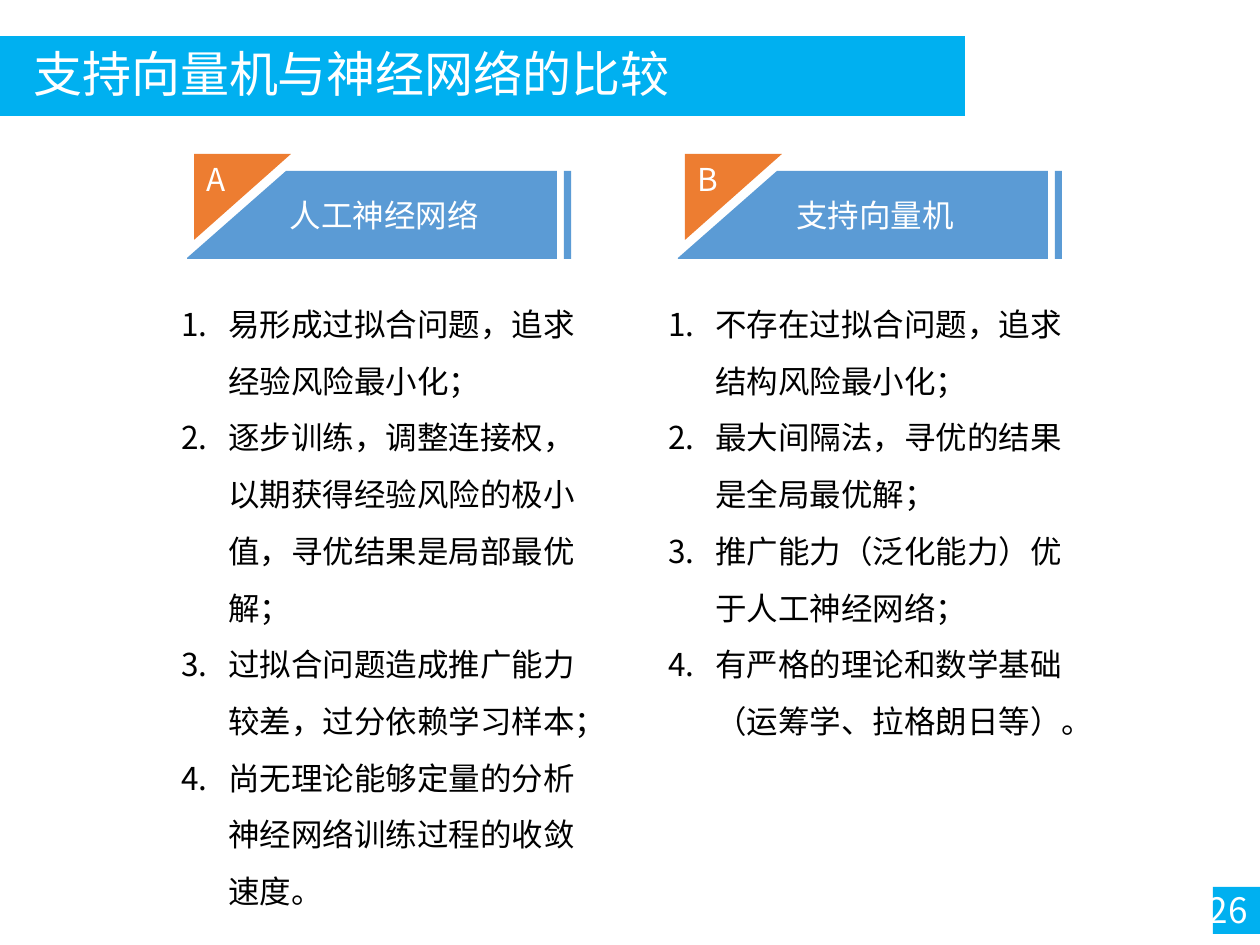
from dataclasses import dataclass

from lxml.etree import SubElement
from pptx import Presentation
from pptx.dml.color import RGBColor
from pptx.enum.shapes import MSO_SHAPE as Shape
from pptx.enum.text import MSO_ANCHOR as Anchor, PP_ALIGN as Align
from pptx.oxml.ns import qn
from pptx.util import Pt

# Content
TITLE = "支持向量机与神经网络的比较"
PAGE_NUMBER = "26"
COLUMNS = [
    ("A", "人工神经网络", [
        "易形成过拟合问题，追求经验风险最小化；",
        "逐步训练，调整连接权，以期获得经验风险的极小值，寻优结果是局部最优解；",
        "过拟合问题造成推广能力较差，过分依赖学习样本；",
        "尚无理论能够定量的分析神经网络训练过程的收敛速度。",
    ]),
    ("B", "支持向量机", [
        "不存在过拟合问题，追求结构风险最小化；",
        "最大间隔法，寻优的结果是全局最优解；",
        "推广能力（泛化能力）优于人工神经网络；",
        "有严格的理论和数学基础（运筹学、拉格朗日等）。",
    ]),
]


@dataclass(frozen=True)
class Theme:
    font: str = "Noto Sans CJK SC"
    band: str = "00B0F0"
    corner: str = "ED7D31"
    ribbon: str = "5B9BD5"
    light: str = "FFFFFF"
    dark: str = "000000"
    title: int = 28
    number: int = 20
    body: int = 18


THEME = Theme()

# Layout in px, 126 to the inch
PX = 914400 // 126
BANDS = [(0, 36, 965, 80), (1213, 887, 47, 47)]
TITLE_BOX = (21, 3, 1086, 148)
NUMBER_BOX = (976, 887, 284, 46)
CORNER = [[(194, 154), (291, 154), (194, 240)]]
RIBBON = [
    [(564, 171), (571, 171), (571, 259), (564, 259)],
    [(286, 171), (557, 171), (557, 259), (187, 259), (187, 258)],
]
HEADER_STEP = 491
LIST_BOX = (169, 280, 421, 500)
LIST_STEP = 487
LIST_INDENT = 47


def emu(values):
    return [value * PX for value in values]


def paint(shape, color):
    shape.shadow.inherit = False
    shape.fill.solid()
    shape.fill.fore_color.rgb = RGBColor.from_string(color)
    shape.line.fill.background()


def number_paragraph(paragraph):
    properties = paragraph._p.get_or_add_pPr()
    properties.set("marL", str(LIST_INDENT * PX))
    properties.set("indent", str(-LIST_INDENT * PX))
    SubElement(properties, qn("a:buFont"), typeface=THEME.font)
    SubElement(properties, qn("a:buAutoNum"), type="arabicPeriod")


def write(shape, lines, size=THEME.body, color=THEME.light, align=Align.LEFT,
          anchor=Anchor.TOP, spacing=None, numbered=False):
    frame = shape.text_frame
    frame.word_wrap = True
    frame.vertical_anchor = anchor
    for index, line in enumerate(lines):
        paragraph = frame.add_paragraph() if index else frame.paragraphs[0]
        paragraph.alignment = align
        if spacing:
            paragraph.line_spacing = spacing
        if numbered:
            number_paragraph(paragraph)
        run = paragraph.add_run()
        run.text = line
        run.font.size = Pt(size)
        run.font.color.rgb = RGBColor.from_string(color)
        run.font.name = THEME.font
        SubElement(run._r.get_or_add_rPr(), qn("a:ea"), typeface=THEME.font)


def add_outline(slide, contours, shift, color):
    moved = [[(x + shift, y) for x, y in contour] for contour in contours]
    builder = slide.shapes.build_freeform(*moved[0][0], scale=PX)
    for index, contour in enumerate(moved):
        if index:
            builder.move_to(*contour[0])
        builder.add_line_segments(contour[1:], close=True)
    shape = builder.convert_to_shape()
    paint(shape, color)
    return shape


def add_column(slide, index, letter, heading, points):
    shift = index * HEADER_STEP
    write(add_outline(slide, CORNER, shift, THEME.corner), [letter])
    ribbon = add_outline(slide, RIBBON, shift, THEME.ribbon)
    frame = ribbon.text_frame
    frame.margin_left = 10 * PX
    frame.margin_top = frame.margin_right = frame.margin_bottom = 0
    write(ribbon, [heading], align=Align.CENTER, anchor=Anchor.MIDDLE)

    left, top, width, height = LIST_BOX
    box = slide.shapes.add_textbox(
        *emu((left + index * LIST_STEP, top, width, height)))
    write(box, points, color=THEME.dark, spacing=1.5, numbered=True)


def main():
    presentation = Presentation()
    presentation.slide_width, presentation.slide_height = emu((1260, 945))
    slide = presentation.slides.add_slide(presentation.slide_layouts[6])

    # Title band and page number
    for band in BANDS:
        paint(slide.shapes.add_shape(Shape.RECTANGLE, *emu(band)), THEME.band)
    write(slide.shapes.add_textbox(*emu(NUMBER_BOX)), [PAGE_NUMBER],
          size=THEME.number, align=Align.RIGHT, anchor=Anchor.MIDDLE)
    write(slide.shapes.add_textbox(*emu(TITLE_BOX)), [TITLE],
          size=THEME.title, anchor=Anchor.MIDDLE, spacing=0.9)

    # Compared methods
    for index, column in enumerate(COLUMNS):
        add_column(slide, index, *column)

    presentation.save("out.pptx")


if __name__ == "__main__":
    main()
